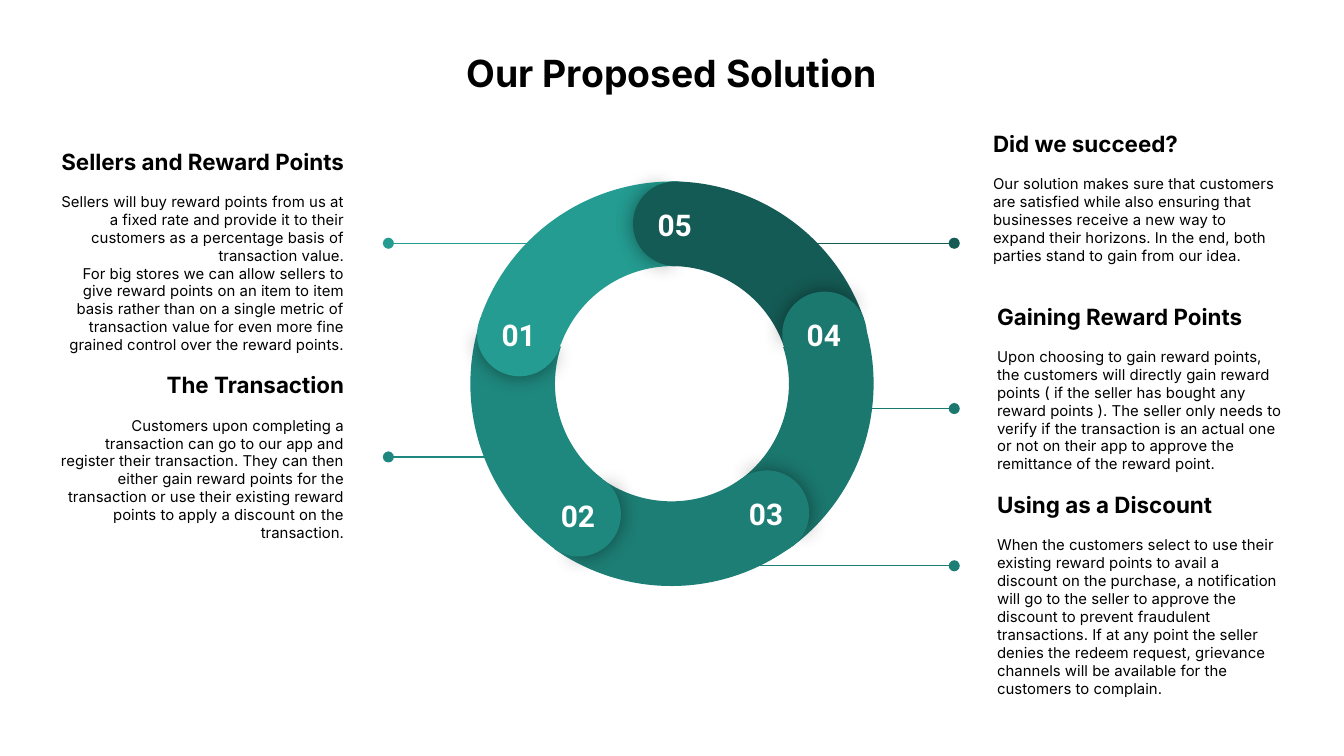
from dataclasses import dataclass

from lxml.etree import SubElement
from pptx import Presentation
from pptx.dml.color import RGBColor
from pptx.enum.shapes import MSO_CONNECTOR as Connector, MSO_SHAPE as Shape
from pptx.enum.text import MSO_ANCHOR as Anchor, MSO_AUTO_SIZE as AutoSize, PP_ALIGN as Align
from pptx.oxml.ns import qn
from pptx.shapes.autoshape import Shape as AutoShape
from pptx.slide import Slide
from pptx.text.text import TextFrame, _Paragraph as Paragraph
from pptx.util import Inches, Pt


@dataclass(frozen=True)
class Theme:
    text: str = "000000"
    label: str = "FFFFFF"
    font: str = "Inter"
    number_font: str = "Roboto"
    title_size: float = 20
    number_size: float = 16
    heading_size: float = 12
    body_size: float = 8
    gap: float = 9.7
    line_width: float = 0.75


@dataclass(frozen=True)
class Segment:
    number: str
    color: str
    arc: tuple[float, float]
    arc_turn: float
    cap: tuple[float, float]
    cap_turn: float


@dataclass(frozen=True)
class Note:
    heading: str
    lines: tuple[str, ...]
    left: float
    top: float
    height: float
    align: Align
    line_start: float
    line_end: float
    line_y: float
    color: str


THEME = Theme()
SLIDE_WIDTH = Inches(10)
SLIDE_HEIGHT = SLIDE_WIDTH * 9 // 16
RING_SIZE, CAP_SIZE = 3.03, 0.63
NOTE_WIDTH = 2.32
LEFT_DOT, RIGHT_DOT = 2.89, 7.1
ARC_ANGLES = (126.03, 168.68, CAP_SIZE / RING_SIZE)
SHADOW_CAP_ANGLES = (61.9, 149.96)
FLAT_CAP_ANGLES = (40.28, 171.84)
FLAT_CAP_TURN = 179.3

SEGMENTS = {
    "02": Segment("02", "1F887E", (3.5, 1.34), 277, (3.99, 3.51), 211.1),
    "04": Segment("04", "1B786F", (3.47, 1.34), 132, (5.82, 2.17), 67.1),
    "05": Segment("05", "155B55", (3.48, 1.35), 60, (4.71, 1.35), 357.1),
    "03": Segment("03", "1D7E75", (3.48, 1.33), 204, (5.39, 3.5), 139.1),
    "01": Segment("01", "249C91", (3.49, 1.35), 350, (3.55, 2.17), 284.1),
}

NOTES = [
    Note("Sellers and Reward Points", (
        "Sellers will buy reward points from us at a fixed rate and provide it to their "
        "customers as a percentage basis of transaction value.",
        "For big stores we can allow sellers to give reward points on an item to item basis "
        "rather than on a single metric of transaction value for even more fine grained "
        "control over the reward points."),
        0.34, 1.36, 1.01, Align.RIGHT, 4.23, LEFT_DOT, 1.81, SEGMENTS["01"].color),
    Note("The Transaction", (
        "Customers upon completing a transaction can go to our app and register their "
        "transaction. They can then either gain reward points for the transaction or use "
        "their existing reward points to apply a discount on the transaction.",),
        0.34, 2.89, 1.01, Align.RIGHT, 3.91, LEFT_DOT, 3.4, SEGMENTS["02"].color),
    Note("Using as a Discount", (
        "When the customers select to use their existing reward points to avail a discount "
        "on the purchase, a notification will go to the seller to approve the discount to "
        "prevent fraudulent transactions. If at any point the seller denies the redeem "
        "request, grievance channels will be available for the customers to complain.",),
        7.32, 3.71, 1.42, Align.LEFT, 5.09, RIGHT_DOT, 4.21, SEGMENTS["03"].color),
    Note("Did we succeed?", (
        "Our solution makes sure that customers are satisfied while also ensuring that "
        "businesses receive a new way to expand their horizons. In the end, both parties "
        "stand to gain from our idea.",),
        7.29, 0.96, 1.01, Align.LEFT, 5.7, RIGHT_DOT, 1.81, SEGMENTS["05"].color),
    Note("Gaining Reward Points", (
        "Upon choosing to gain reward points, the customers will directly gain reward points "
        "( if the seller has bought any reward points ). The seller only needs to verify if "
        "the transaction is an actual one or not on their app to approve the remittance of "
        "the reward point.",),
        7.32, 2.23, 1.31, Align.LEFT, 6.14, RIGHT_DOT, 3.04, SEGMENTS["04"].color),
]


def set_frame(frame: TextFrame, anchor: Anchor) -> None:
    frame.word_wrap = True
    frame.auto_size = AutoSize.NONE
    frame.vertical_anchor = anchor
    frame.margin_left = frame.margin_right = Inches(0.1)
    frame.margin_top = frame.margin_bottom = Inches(0.1)


def add_span(para: Paragraph, text: str, size: float, bold: bool = True,
             font: str = THEME.font, color: str = THEME.text) -> None:
    span = para.add_run()
    span.text = text
    span.font.name = font
    span.font.size = Pt(size)
    span.font.bold = bold
    span.font.color.rgb = RGBColor.from_string(color)


def add_title(page: Slide, text: str) -> None:
    title = page.shapes.title
    title.left, title.top = Inches(0), Inches(0.27)
    title.width, title.height = SLIDE_WIDTH, Inches(0.5)
    set_frame(title.text_frame, Anchor.TOP)
    para = title.text_frame.paragraphs[0]
    para.alignment = Align.CENTER
    add_span(para, text, THEME.title_size)


def add_pointer(page: Slide, note: Note) -> None:
    pointer = page.shapes.add_connector(
        Connector.STRAIGHT, Inches(note.line_start), Inches(note.line_y),
        Inches(note.line_end), Inches(note.line_y))
    pointer.line.color.rgb = RGBColor.from_string(note.color)
    pointer.line.width = Pt(THEME.line_width)
    SubElement(pointer.line._get_or_add_ln(), qn("a:tailEnd"), type="oval")
    SubElement(pointer._element.spPr, qn("a:effectLst"))


def add_note(page: Slide, note: Note) -> None:
    box = page.shapes.add_textbox(
        Inches(note.left), Inches(note.top), Inches(NOTE_WIDTH), Inches(note.height))
    frame = box.text_frame
    set_frame(frame, Anchor.MIDDLE)
    heading = frame.paragraphs[0]
    heading.alignment = note.align
    add_span(heading, note.heading, THEME.heading_size)
    body = frame.add_paragraph()
    body.alignment = note.align
    body.space_before = Pt(THEME.gap)
    for index, line in enumerate(note.lines):
        if index:
            body.add_line_break()
        add_span(body, line, THEME.body_size, bold=False)


def add_piece(page: Slide, kind: Shape, place: tuple[float, float], size: float,
              turn: float, angles: tuple[float, ...], color: str) -> AutoShape:
    left, top = place
    piece = page.shapes.add_shape(kind, Inches(left), Inches(top), Inches(size), Inches(size))
    for index, angle in enumerate(angles):
        piece.adjustments[index] = angle
    piece.rotation = turn % 360
    piece.shadow.inherit = False
    piece.fill.solid()
    piece.fill.fore_color.rgb = RGBColor.from_string(color)
    piece.line.fill.background()
    return piece


def add_glow(piece: AutoShape) -> None:
    effects = piece._element.spPr.find(qn("a:effectLst"))
    shadow = SubElement(effects, qn("a:outerShdw"), blurRad=str(Pt(11.2)), dist="0",
                        dir="0", algn="ctr", rotWithShape="0")
    color = SubElement(shadow, qn("a:srgbClr"), val=THEME.text)
    SubElement(color, qn("a:alpha"), val="43000")


def add_cap(page: Slide, segment: Segment) -> None:
    add_glow(add_piece(page, Shape.PIE, segment.cap, CAP_SIZE, segment.cap_turn,
                       SHADOW_CAP_ANGLES, segment.color))
    add_piece(page, Shape.PIE, segment.cap, CAP_SIZE, segment.cap_turn + FLAT_CAP_TURN,
              FLAT_CAP_ANGLES, segment.color)


def add_number(page: Slide, segment: Segment) -> None:
    left, top = segment.cap
    box = page.shapes.add_textbox(
        Inches(left + 0.03), Inches(top + 0.09), Inches(0.56), Inches(0.29))
    set_frame(box.text_frame, Anchor.TOP)
    para = box.text_frame.paragraphs[0]
    para.alignment = Align.CENTER
    add_span(para, segment.number, THEME.number_size, font=THEME.number_font, color=THEME.label)


def main() -> None:
    deck = Presentation()
    deck.slide_width, deck.slide_height = SLIDE_WIDTH, SLIDE_HEIGHT
    page = deck.slides.add_slide(deck.slide_layouts.get_by_name("Title Only"))
    add_title(page, "Our Proposed Solution")
    for note in NOTES:
        add_pointer(page, note)
        add_note(page, note)
    for segment in SEGMENTS.values():
        add_piece(page, Shape.BLOCK_ARC, segment.arc, RING_SIZE, segment.arc_turn,
                  ARC_ANGLES, segment.color)
    for draw in (add_cap, add_number):
        for segment in SEGMENTS.values():
            draw(page, segment)
    deck.save("out.pptx")


if __name__ == "__main__":
    main()
